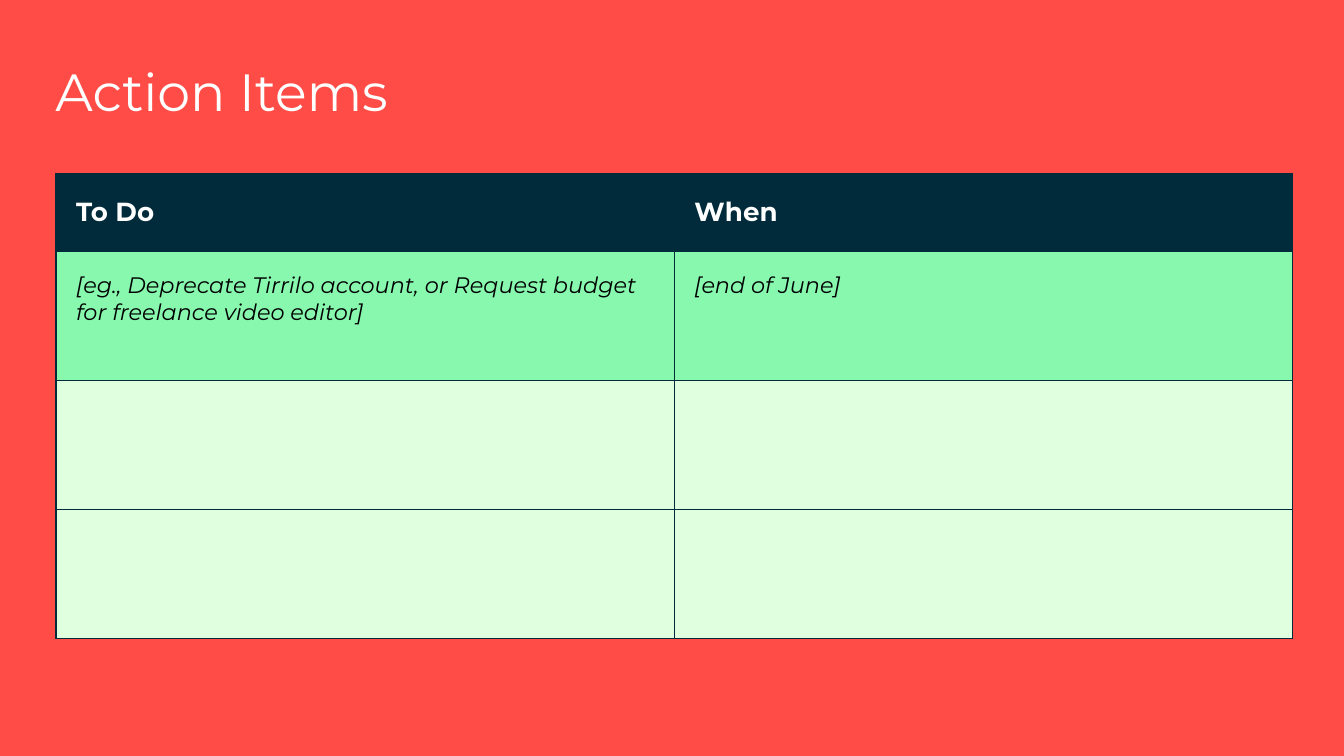
from lxml import etree
from pptx import Presentation
from pptx.dml.color import RGBColor
from pptx.enum import text
from pptx.oxml.ns import qn
from pptx.util import Pt

HEADING = "Action Items"
COLUMNS = ["To Do", "When"]
ACTIONS = [
    ["[eg., Deprecate Tirrilo account, or Request budget for freelance video editor]", "[end of June]"],
    ["", ""],
    ["", ""],
]

THEME = {
    "font": "Montserrat",
    "background": "FF4C46",
    "navy": "012B3A",
    "example": "87F8AE",
    "blank": "DFFFDE",
    "white": "FFFFFF",
    "black": "000000",
    "title_size": 28,
    "header_size": 14,
    "body_size": 12,
    "border": 0.75,
}

SLIDE_W, SLIDE_H = 720, 405
TABLE_LEFT, TABLE_TOP = 30, 93
COLUMN_W, HEADER_H, ACTION_H = 331.2, 41.6, 69.2


def color(name):
    return RGBColor.from_string(THEME[name])


def write(paragraph, words, size, ink, bold=False, italic=False):
    run = paragraph.add_run()
    run.text = words
    font = run.font
    font.name = THEME["font"]
    font.size = Pt(THEME[size])
    font.color.rgb = color(ink)
    font.bold = bold
    font.italic = italic


def outline(cell):
    properties = cell._tc.get_or_add_tcPr()
    for side in ("lnL", "lnR", "lnT", "lnB"):
        edge = etree.SubElement(properties, qn(f"a:{side}"), w=str(Pt(THEME["border"])))
        fill = etree.SubElement(edge, qn("a:solidFill"))
        etree.SubElement(fill, qn("a:srgbClr"), val=THEME["navy"])


def add_heading(slide):
    heading = slide.shapes.title
    heading.left, heading.top = Pt(25.2), Pt(28.1)
    heading.width, heading.height = Pt(601.2), Pt(42.5)
    frame = heading.text_frame
    frame.word_wrap = True
    frame.auto_size = text.MSO_AUTO_SIZE.NONE
    frame.vertical_anchor = text.MSO_ANCHOR.TOP
    frame.margin_left = Pt(4.5)
    frame.margin_right = frame.margin_top = frame.margin_bottom = Pt(7.2)
    line = frame.paragraphs[0]
    line.alignment = text.PP_ALIGN.LEFT
    line.line_spacing = 0.9
    write(line, HEADING, "title_size", "white")


def add_actions(slide):
    rows = [COLUMNS] + ACTIONS
    heights = [HEADER_H] + [ACTION_H] * len(ACTIONS)
    table = slide.shapes.add_table(
        len(rows), len(COLUMNS), Pt(TABLE_LEFT), Pt(TABLE_TOP),
        Pt(COLUMN_W * len(COLUMNS)), Pt(sum(heights)),
    ).table
    table.first_row = table.horz_banding = False
    for column in table.columns:
        column.width = Pt(COLUMN_W)
    for r, (entries, height) in enumerate(zip(rows, heights)):
        table.rows[r].height = Pt(height)
        is_header = r == 0
        for c, entry in enumerate(entries):
            cell = table.cell(r, c)
            outline(cell)
            cell.fill.solid()
            cell.fill.fore_color.rgb = color("navy" if is_header else "example" if entry else "blank")
            cell.margin_left = cell.margin_right = Pt(10.8)
            cell.margin_top = Pt(7.2 if is_header else 10.8)
            cell.margin_bottom = Pt(7.2)
            cell.vertical_anchor = text.MSO_ANCHOR.MIDDLE if is_header else text.MSO_ANCHOR.TOP
            line = cell.text_frame.paragraphs[0]
            if is_header:
                write(line, entry, "header_size", "white", bold=True)
            elif entry:
                write(line, entry, "body_size", "black", italic=True)


def main():
    deck = Presentation()
    deck.slide_width, deck.slide_height = Pt(SLIDE_W), Pt(SLIDE_H)
    slide = deck.slides.add_slide(deck.slide_layouts[5])
    slide.background.fill.solid()
    slide.background.fill.fore_color.rgb = color("background")
    add_heading(slide)
    add_actions(slide)
    deck.save("out.pptx")


if __name__ == "__main__":
    main()
